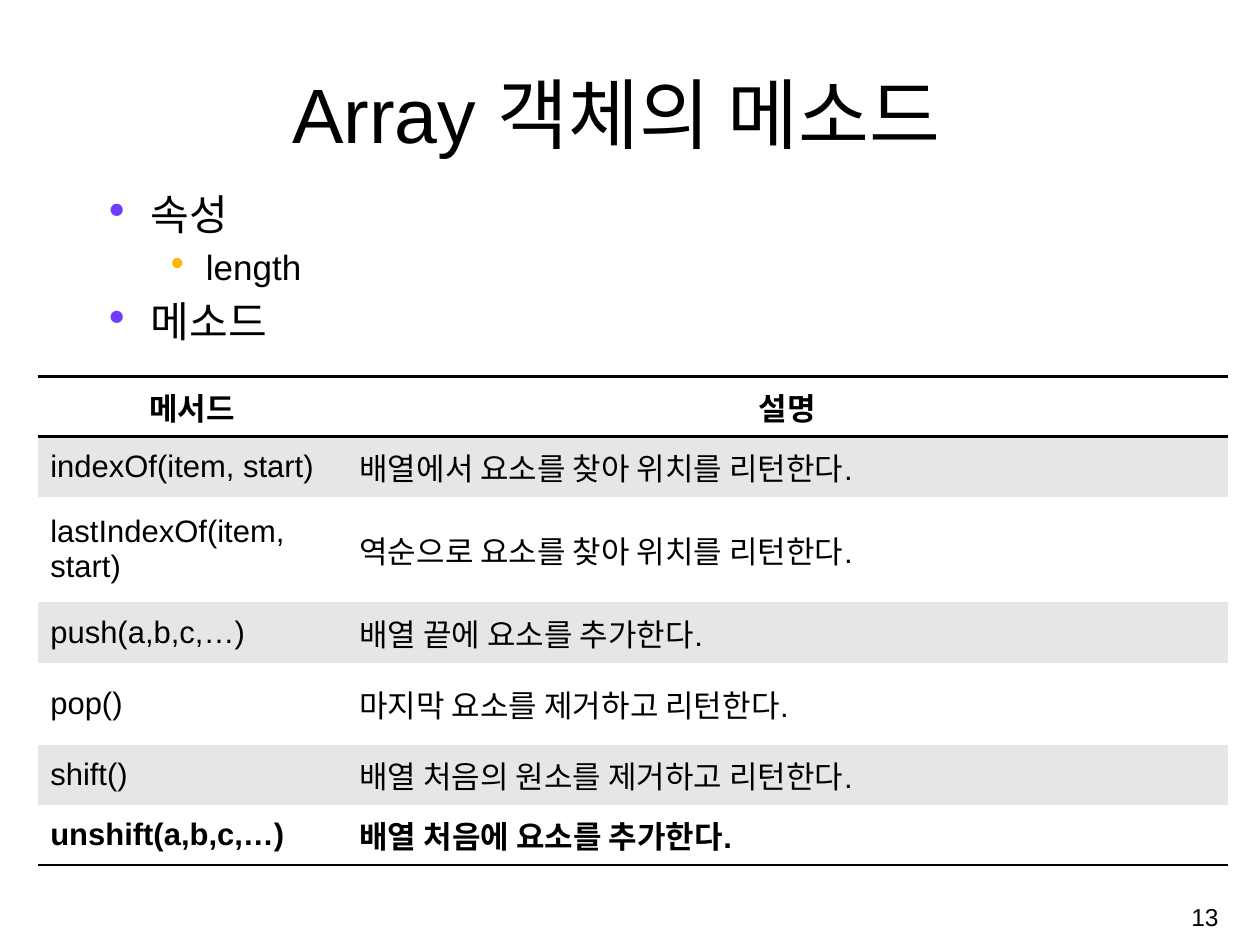
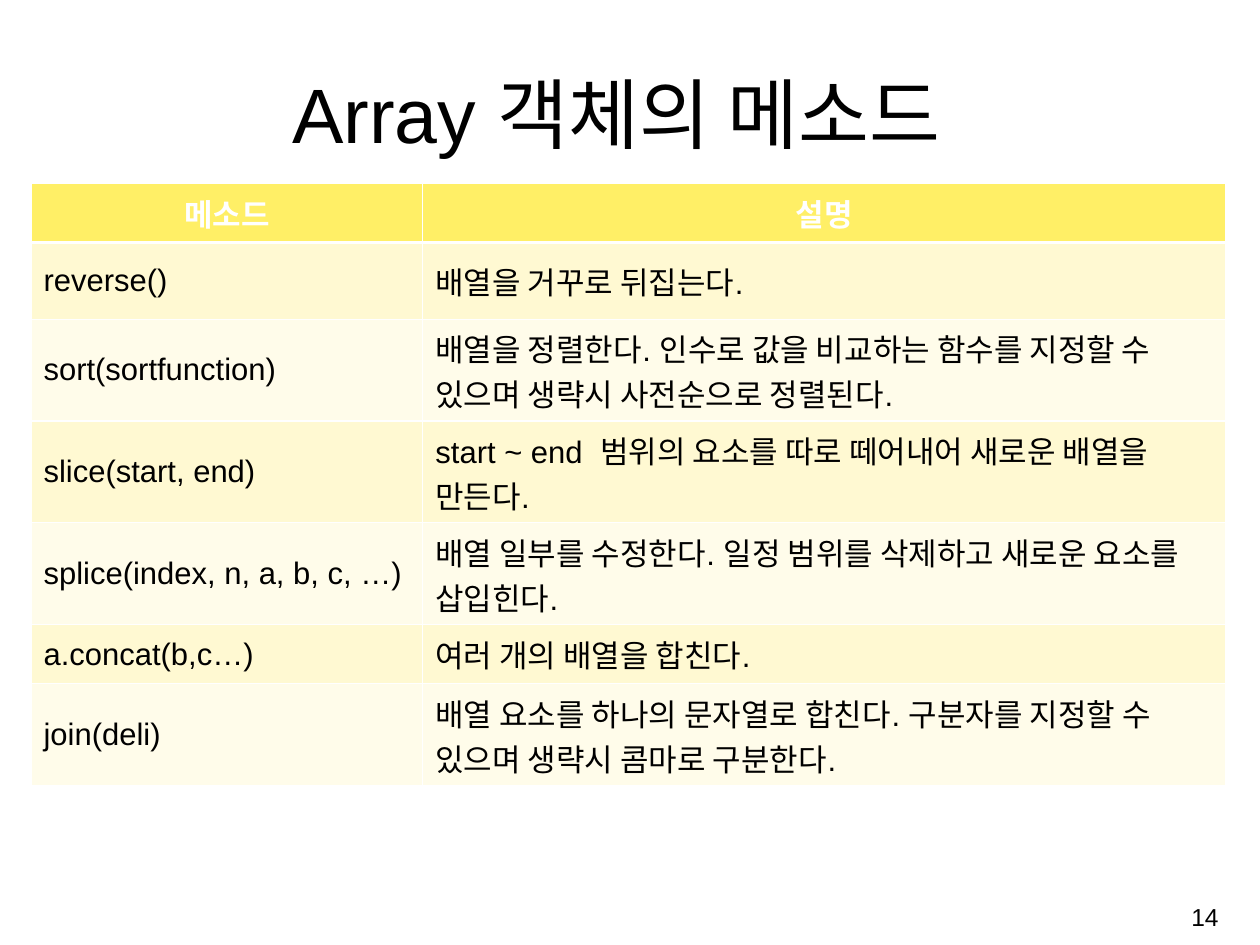
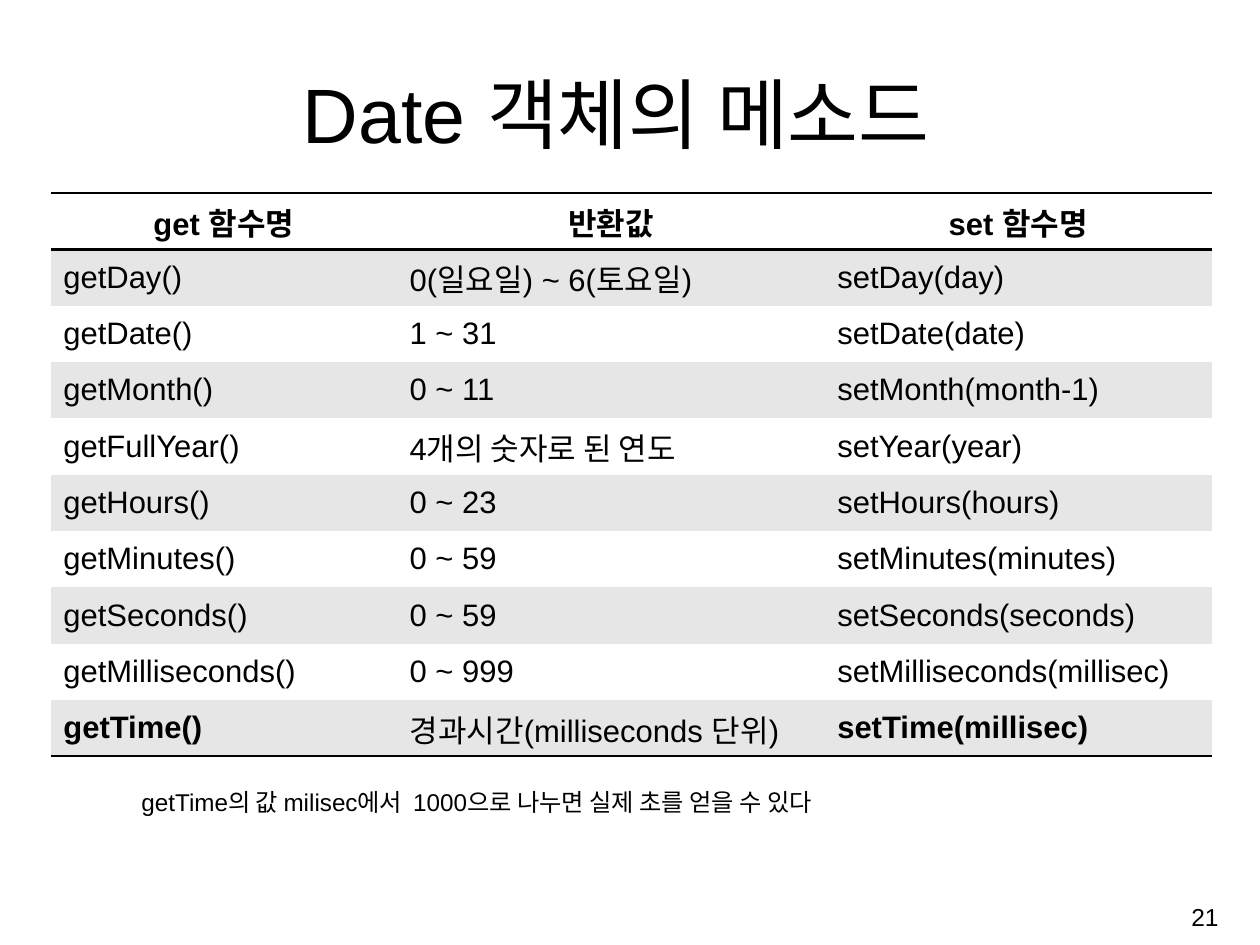
import dataclasses
import typing

import lxml.etree
import pptx
import pptx.dml.color
import pptx.enum.text
import pptx.oxml.ns
import pptx.util

Pt = pptx.util.Pt
RGBColor = pptx.dml.color.RGBColor
Align = pptx.enum.text.PP_ALIGN
Anchor = pptx.enum.text.MSO_ANCHOR

# Shared look
FONT = "Arial"
BLACK = RGBColor(0x00, 0x00, 0x00)
WHITE = RGBColor(0xFF, 0xFF, 0xFF)
GREY = RGBColor(0xE6, 0xE6, 0xE6)
YELLOW = RGBColor(0xFF, 0xEF, 0x66)
CREAM = RGBColor(0xFF, 0xF9, 0xD2)
IVORY = RGBColor(0xFF, 0xFC, 0xEA)
PURPLE = RGBColor(0x70, 0x3D, 0xFF)
AMBER = RGBColor(0xFF, 0xB8, 0x00)
SLIDE_WIDTH, SLIDE_HEIGHT = 935.3, 701.3
NO_TABLE_STYLE = "{2D5ABB26-0587-4C30-8999-92F81FD0307C}"


class Area(typing.NamedTuple):
    left: float
    top: float
    width: float
    height: float


TITLE_AREA = Area(75.6, 43.9, 763.9, 77.8)
NUMBER_AREA = Area(718.6, 658.8, 193, 43.2)
BODY_AREA = Area(69.8, 136.1, 840.2, 493.2)
NOTE_AREA = Area(97.9, 581, 779.8, 28.8)


@dataclasses.dataclass(frozen=True)
class TableLook:
    header_fill: RGBColor
    header_text: RGBColor
    bands: tuple[RGBColor, RGBColor]
    line: RGBColor
    edge_rule: float
    header_rule: float
    inner_rule: float
    column_rule: float


RULED = TableLook(WHITE, BLACK, (GREY, WHITE), BLACK, 2, 2, 0, 0)
GRID = TableLook(YELLOW, WHITE, (CREAM, IVORY), WHITE, 1, 3, 1, 1)


@dataclasses.dataclass(frozen=True)
class MethodTable:
    left: float
    top: float
    columns: tuple[float, ...]
    heights: tuple[float, ...]
    look: TableLook
    rows: tuple[tuple[str, ...], ...]
    bold_last: tuple[int, ...] = ()


class Bullet(typing.NamedTuple):
    text: str
    level: int
    size: float
    before: float
    margin: float
    hanging: float
    color: RGBColor


@dataclasses.dataclass(frozen=True)
class PageContent:
    title: str
    number: int
    table: MethodTable
    bullets: tuple[Bullet, ...] = ()
    note: str = ""


def apply(target: typing.Any, values: dict[str, typing.Any]) -> None:
    for name, value in values.items():
        setattr(target, name, value)


def add_span(para: typing.Any, text: str, size: float,
             color: RGBColor = BLACK, bold: bool = False) -> None:
    span = para.add_run()
    span.text = text
    apply(span.font, {"name": FONT, "size": Pt(size), "bold": bold})
    span.font.color.rgb = color


def add_box(page: typing.Any, area: Area, anchor: Anchor = Anchor.TOP) -> typing.Any:
    box = page.shapes.add_textbox(*map(Pt, area))
    apply(box.text_frame, {
        "word_wrap": True, "vertical_anchor": anchor,
        "margin_left": Pt(7.2), "margin_right": Pt(7.2),
        "margin_top": Pt(3.6), "margin_bottom": Pt(3.6),
    })
    return box.text_frame


def add_line(page: typing.Any, area: Area, text: str, size: float,
             align: Align = Align.LEFT, anchor: Anchor = Anchor.TOP) -> None:
    para = add_box(page, area, anchor).paragraphs[0]
    para.alignment = align
    add_span(para, text, size)


def add_child(parent: typing.Any, tag: str, **attributes: str) -> typing.Any:
    return lxml.etree.SubElement(parent, pptx.oxml.ns.qn(tag), attributes)


def add_bullets(page: typing.Any, bullets: tuple[Bullet, ...]) -> None:
    frame = add_box(page, BODY_AREA)
    for index, bullet in enumerate(bullets):
        para = frame.add_paragraph() if index else frame.paragraphs[0]
        apply(para, {"level": bullet.level, "space_before": Pt(bullet.before)})
        properties = para._p.get_or_add_pPr()
        properties.set("marL", str(Pt(bullet.margin)))
        properties.set("indent", str(-Pt(bullet.hanging)))
        add_child(add_child(properties, "a:buClr"), "a:srgbClr", val=str(bullet.color))
        add_child(properties, "a:buChar", char="∙")
        add_span(para, bullet.text, bullet.size)


def add_borders(cell: typing.Any, color: RGBColor, widths: dict[str, float]) -> None:
    properties = cell._tc.get_or_add_tcPr()
    for side, width in widths.items():
        if width:
            border = add_child(properties, f"a:ln{side}", w=str(Pt(width)))
            add_child(add_child(border, "a:solidFill"), "a:srgbClr", val=str(color))
        else:
            add_child(add_child(properties, f"a:ln{side}", w="0"), "a:noFill")


def add_method_table(page: typing.Any, content: MethodTable) -> None:
    look, last = content.look, len(content.rows) - 1
    frame = page.shapes.add_table(
        last + 1, len(content.columns), Pt(content.left), Pt(content.top),
        Pt(sum(content.columns)), Pt(sum(content.heights)))
    table = frame.table
    apply(table, {"first_row": False, "horz_banding": False})
    table._tbl.tblPr.find(pptx.oxml.ns.qn("a:tableStyleId")).text = NO_TABLE_STYLE
    for column, width in zip(table.columns, content.columns):
        column.width = Pt(width)
    for row, height in zip(table.rows, content.heights):
        row.height = Pt(height)

    # One width for each horizontal rule, from the top edge down
    rules = [look.edge_rule, look.header_rule,
             *[look.inner_rule] * (last - 1), look.edge_rule]
    for row_index, texts in enumerate(content.rows):
        header = row_index == 0
        fill = look.header_fill if header else look.bands[(row_index - 1) % 2]
        for column_index, text in enumerate(texts):
            cell = table.cell(row_index, column_index)
            apply(cell, {
                "vertical_anchor": Anchor.MIDDLE,
                "margin_left": Pt(9.36), "margin_right": Pt(9.36),
                "margin_top": Pt(4.68), "margin_bottom": Pt(4.68),
            })
            add_borders(cell, look.line, {
                "L": look.column_rule, "R": look.column_rule,
                "T": rules[row_index], "B": rules[row_index + 1],
            })
            cell.fill.solid()
            cell.fill.fore_color.rgb = fill
            para = cell.text_frame.paragraphs[0]
            para.alignment = Align.CENTER if header else Align.LEFT
            bold = header or (row_index == last and column_index in content.bold_last)
            add_span(para, text, 23, look.header_text if header else BLACK, bold)


# Slide contents
ARRAY_SEARCH = MethodTable(
    28, 279.4, (229.5, 654.2), (44.6, 44.6, 78.5, 44.6, 61.2, 44.6, 44.6), RULED, (
        ("메서드", "설명"),
        ("indexOf(item, start)", "배열에서 요소를 찾아 위치를 리턴한다."),
        ("lastIndexOf(item, start)", "역순으로 요소를 찾아 위치를 리턴한다."),
        ("push(a,b,c,…)", "배열 끝에 요소를 추가한다."),
        ("pop()", "마지막 요소를 제거하고 리턴한다."),
        ("shift()", "배열 처음의 원소를 제거하고 리턴한다."),
        ("unshift(a,b,c,…)", "배열 처음에 요소를 추가한다."),
    ), bold_last=(0, 1))

ARRAY_ORDER = MethodTable(
    23, 136.1, (290.9, 596.2), (43.9, 56.9, 75.6, 75.6, 75.6, 43.9, 75.6), GRID, (
        ("메소드", "설명"),
        ("reverse()", "배열을 거꾸로 뒤집는다."),
        ("sort(sortfunction)", "배열을 정렬한다. 인수로 값을 비교하는 함수를 지정할 수 "
                               "있으며 생략시 사전순으로 정렬된다."),
        ("slice(start, end)", "start ~ end  범위의 요소를 따로 떼어내어 새로운 배열을 만든다."),
        ("splice(index, n, a, b, c, …)", "배열 일부를 수정한다. 일정 범위를 삭제하고 "
                                         "새로운 요소를 삽입힌다."),
        ("a.concat(b,c…)", "여러 개의 배열을 합친다."),
        ("join(deli)", "배열 요소를 하나의 문자열로 합친다. 구분자를 지정할 수 "
                       "있으며 생략시 콤마로 구분한다."),
    ))

DATE_METHODS = MethodTable(
    37.7, 143.3, (257, 317.5, 287.3), (41.8,) * 10, RULED, (
        ("get 함수명", "반환값", "set 함수명"),
        ("getDay()", "0(일요일) ~ 6(토요일)", "setDay(day)"),
        ("getDate()", "1 ~ 31", "setDate(date)"),
        ("getMonth()", "0 ~ 11", "setMonth(month-1)"),
        ("getFullYear()", "4개의 숫자로 된 연도", "setYear(year)"),
        ("getHours()", "0 ~ 23", "setHours(hours)"),
        ("getMinutes()", "0 ~ 59", "setMinutes(minutes)"),
        ("getSeconds()", "0 ~ 59", "setSeconds(seconds)"),
        ("getMilliseconds()", "0 ~ 999", "setMilliseconds(millisec)"),
        ("getTime()", "경과시간(milliseconds 단위)", "setTime(millisec)"),
    ), bold_last=(0, 2))

PAGES = (
    PageContent("Array 객체의 메소드", 13, ARRAY_SEARCH, bullets=(
        Bullet("속성", 0, 31.2, 0, 35.1, 35.1, PURPLE),
        Bullet("length", 1, 26, 5, 76, 29.3, AMBER),
        Bullet("메소드", 0, 31.2, 6.2, 35.1, 35.1, PURPLE),
    )),
    PageContent("Array 객체의 메소드", 14, ARRAY_ORDER),
    PageContent("Date 객체의 메소드", 21, DATE_METHODS,
                note="getTime의 값 milisec에서  1000으로 나누면 실제 초를 얻을 수 있다"),
)


def add_page(deck: typing.Any, content: PageContent) -> None:
    page = deck.slides.add_slide(deck.slide_layouts[6])
    add_line(page, TITLE_AREA, content.title, 57.2, Align.CENTER, Anchor.BOTTOM)
    if content.bullets:
        add_bullets(page, content.bullets)
    add_method_table(page, content.table)
    add_line(page, NUMBER_AREA, str(content.number), 18.2, Align.RIGHT, Anchor.MIDDLE)
    if content.note:
        add_line(page, NOTE_AREA, content.note, 18)


def main() -> None:
    deck = pptx.Presentation()
    apply(deck, {"slide_width": Pt(SLIDE_WIDTH), "slide_height": Pt(SLIDE_HEIGHT)})
    for content in PAGES:
        add_page(deck, content)
    deck.save("out.pptx")


if __name__ == "__main__":
    main()
